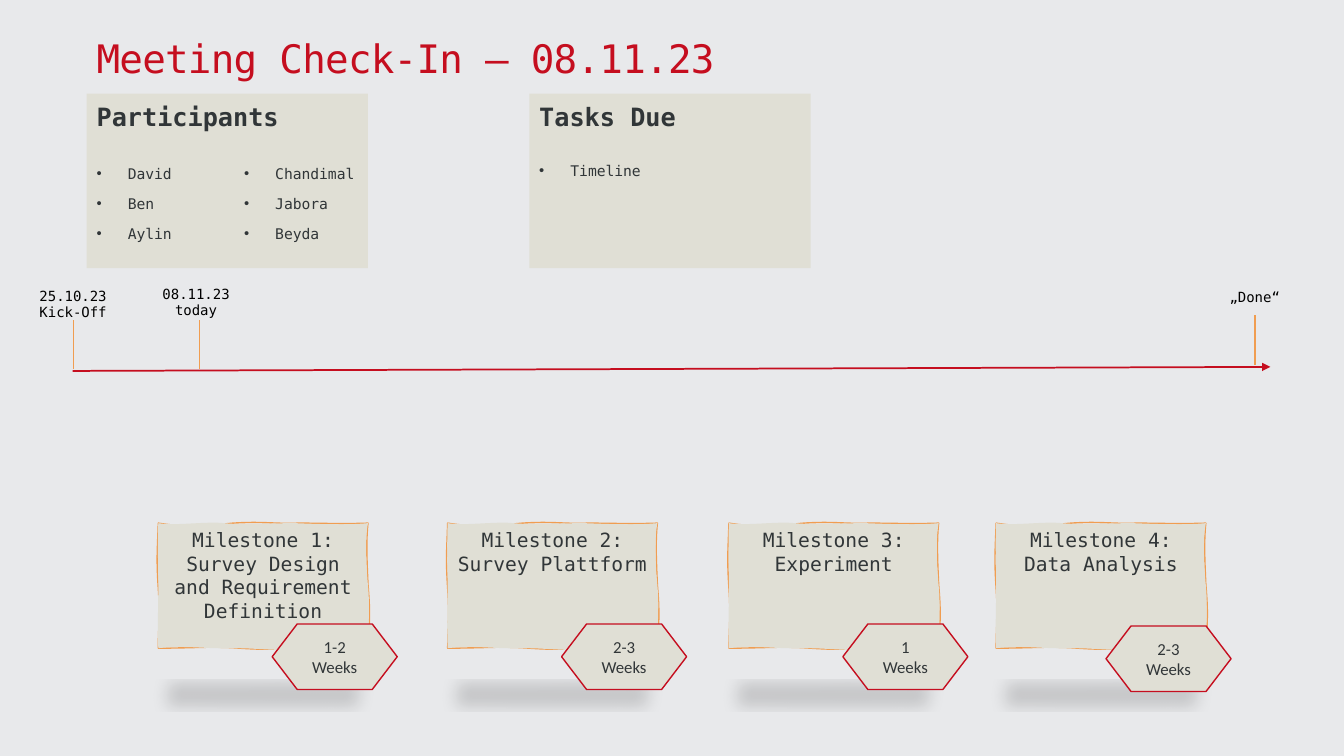
from lxml import etree
from pptx import Presentation
from pptx.dml.color import RGBColor
from pptx.enum.shapes import MSO_CONNECTOR, MSO_SHAPE
from pptx.enum.text import MSO_ANCHOR, PP_ALIGN
from pptx.oxml.ns import qn
from pptx.util import Inches, Pt

STRAIGHT = MSO_CONNECTOR.STRAIGHT
RECT = MSO_SHAPE.RECTANGLE
HEXAGON = MSO_SHAPE.FLOWCHART_PREPARATION
LEFT, CENTER = PP_ALIGN.LEFT, PP_ALIGN.CENTER
TOP, MIDDLE = MSO_ANCHOR.TOP, MSO_ANCHOR.MIDDLE
MONO, SANS = "DejaVu Sans Mono", "Calibri"
WIDE, HIGH = 13.33, 7.5
COLORS = {"back": "E8E9EB", "card": "E0DFD5", "ink": "313638",
          "red": "C50E1F", "orange": "F09D51", "black": "000000"}

# Hand-drawn note: cubic curves from the top left corner, in inches
NOTE_W, NOTE_H = 2.08, 1.24
EDGE = [
    ((0.24, 0.04), (0.43, 0.03), (0.74, 0)),
    ((1.04, -0.02), (1.16, 0.01), (1.39, 0)),
    ((1.62, 0), (1.81, 0.01), (2.08, 0)),
    ((2.06, 0.18), (2.07, 0.38), (2.08, 0.61)),
    ((2.1, 0.85), (2.1, 0.93), (2.08, 1.24)),
    ((1.78, 1.25), (1.65, 1.23), (1.43, 1.24)),
    ((1.21, 1.25), (1.08, 1.26), (0.8, 1.24)),
    ((0.52, 1.22), (0.37, 1.24), (0, 1.24)),
    ((0, 1.02), (0.02, 0.95), (0, 0.65)),
    ((-0.02, 0.35), (-0.01, 0.29), (0, 0)),
]
BODY = [
    ((0.16, 0.03), (0.48, -0.02), (0.65, 0)),
    ((0.83, 0.02), (1.1, 0), (1.35, 0)),
    ((1.6, 0.01), (1.89, 0.02), (2.08, 0)),
    ((2.05, 0.14), (2.06, 0.42), (2.08, 0.62)),
    ((2.1, 0.83), (2.08, 0.96), (2.08, 1.24)),
    ((1.88, 1.27), (1.58, 1.21), (1.41, 1.24)),
    ((1.24, 1.28), (1.03, 1.24), (0.74, 1.24)),
    ((0.45, 1.25), (0.3, 1.21), (0, 1.24)),
    ((-0.01, 0.98), (0, 0.88), (0, 0.61)),
    ((0, 0.35), (-0.01, 0.25), (0, 0)),
]


def color(name):
    return RGBColor.from_string(COLORS[name])


def inches(*sizes):
    return [Inches(size) for size in sizes]


def paint(shape, line=None):
    shape.shadow.inherit = False
    shape.fill.solid()
    shape.fill.fore_color.rgb = color("card")
    if line:
        shape.line.color.rgb = color(line)
        shape.line.width = Pt(1)
    else:
        shape.line.fill.background()


def write(shape, lines, size, ink="ink", font=MONO, align=LEFT, anchor=TOP):
    """Fill a shape with one paragraph per line and return the paragraphs."""
    frame = shape.text_frame
    frame.word_wrap = True
    frame.vertical_anchor = anchor
    paras = []
    for i, text in enumerate(lines):
        para = frame.add_paragraph() if i else frame.paragraphs[0]
        para.text = text
        para.alignment = align
        para.font.name, para.font.size = font, Pt(size)
        para.font.color.rgb = color(ink)
        paras.append(para)
    return paras


def add_text(slide, box, lines, size, **style):
    return write(slide.shapes.add_textbox(*inches(*box)), lines, size, **style)


def add_line(slide, start, end, ink):
    line = slide.shapes.add_connector(STRAIGHT, *inches(*start, *end))
    line.line.color.rgb = color(ink)
    line.line.width = Pt(1.25)
    etree.SubElement(line._element.spPr, qn("a:effectLst"))
    return line


def add_title(slide, box, text):
    para, = add_text(slide, box, [text], 28, ink="red")
    para.runs[0]._r.get_or_add_rPr().set("spc", "-50")


def add_list(slide, box, items):
    """Place bulleted items in a text box of two columns."""
    shape = slide.shapes.add_textbox(*inches(*box))
    for para in write(shape, items, 10.5):
        para.line_spacing, para.space_after = 1.07, Pt(8)
        props = para._p.get_or_add_pPr()
        props.set("marL", str(Inches(0.31)))
        props.set("indent", str(-Inches(0.31)))
        etree.SubElement(props, qn("a:buFont")).set("typeface", "Arial")
        etree.SubElement(props, qn("a:buChar")).set("char", "•")
        # Default run properties must close the paragraph properties
        props.append(props.find(qn("a:defRPr")))
    shape.text_frame._txBody.bodyPr.set("numCol", "2")


def add_card(slide, box, head, items, inner):
    """Place a card; inner is the list's offset from the top, width, height."""
    left, top, wide, high = box
    paint(slide.shapes.add_shape(RECT, *inches(*box)))
    para, = add_text(slide, (left, top + 0.01, 2.26, 0.4), [head], 18)
    para.font.bold = True
    para.line_spacing, para.space_before = 1.07, Pt(12)
    drop, width, height = inner
    add_list(slide, (left, top + drop, width, height), items)


def add_axis(slide, box, marks):
    """Draw the time arrow along the box's foot with a tick per mark."""
    left, top, wide, high = box
    foot = top + high
    arrow = add_line(slide, (left, foot), (left + wide, foot - 0.04), "red")
    tail = etree.SubElement(arrow.line._get_or_add_ln(), qn("a:tailEnd"))
    tail.set("type", "triangle")
    for text, shift, base, label, rise, tall in marks:
        x, y = left + shift, foot - base
        add_line(slide, (x, y), (x, y - 0.49), "orange")
        add_text(slide, (left + label, top + rise, 0.93, tall), [text], 10,
                 ink="black", align=CENTER)


def add_path(paths, curves, **flags):
    """Add a closed path of cubic curves that starts at the box's corner."""
    wide, high = inches(NOTE_W, NOTE_H)
    track = etree.SubElement(paths, qn("a:path"), w=str(wide), h=str(high), **flags)
    start = etree.SubElement(track, qn("a:moveTo"))
    etree.SubElement(start, qn("a:pt"), x="0", y="0")
    for curve in curves:
        bend = etree.SubElement(track, qn("a:cubicBezTo"))
        for x, y in curve:
            etree.SubElement(bend, qn("a:pt"), x=str(Inches(x)), y=str(Inches(y)))
    etree.SubElement(track, qn("a:close"))


def cast(shape):
    """Give a shape a flat, soft shadow on the ground below it."""
    effects = shape._element.spPr.find(qn("a:effectLst"))
    shade = etree.SubElement(effects, qn("a:outerShdw"), blurRad="152400",
                             dist="317500", dir="5400000", sx="90000",
                             sy="-19000", rotWithShape="0")
    black = etree.SubElement(shade, qn("a:srgbClr"), val=COLORS["black"])
    etree.SubElement(black, qn("a:alpha"), val="15000")


def add_note(slide, left, top, text):
    right, foot = left + NOTE_W, top + NOTE_H
    pen = slide.shapes.build_freeform(*inches(left, top))
    pen.add_line_segments([inches(right, top), inches(right, foot),
                           inches(left, foot)], close=True)
    note = pen.convert_to_shape()
    paths = note._element.spPr.find(qn("a:custGeom")).find(qn("a:pathLst"))
    paths.remove(paths[0])
    add_path(paths, EDGE, fill="none")
    add_path(paths, BODY, stroke="0")
    paint(note, "orange")
    cast(note)
    write(note, [text], 14, align=CENTER)


def add_badge(slide, left, top, text):
    badge = slide.shapes.add_shape(HEXAGON, *inches(left, top, 1.24, 0.65))
    paint(badge, "red")
    write(badge, [text], 12, font=SANS, align=CENTER, anchor=MIDDLE)


def add_steps(slide, top, steps):
    for left, text, _, _ in steps:
        add_note(slide, left, top, text)
    for left, _, span, (right, drop) in steps:
        add_badge(slide, left + right, top + drop, span)


def main():
    deck = Presentation()
    deck.slide_width, deck.slide_height = inches(WIDE, HIGH)
    slide = deck.slides.add_slide(deck.slide_layouts[6])
    slide.background.fill.solid()
    slide.background.fill.fore_color.rgb = color("back")

    add_title(slide, (0.86, 0.29, 6.67, 0.57), "Meeting Check-In – 08.11.23")
    add_card(slide, (0.86, 0.93, 2.79, 1.73), "Participants",
             ["David", "Ben", "Aylin", "Chandimal", "Jabora", "Beyda"],
             (0.64, 3.12, 1.02))
    add_card(slide, (5.25, 0.93, 2.79, 1.73), "Tasks Due", ["Timeline"],
             (0.61, 2.27, 0.4))
    add_axis(slide, (0.72, 2.78, 11.88, 0.9), [
        ("25.10.23\nKick-Off", 0.01, 0.02, -0.46, 0.02, 0.44),
        ("08.11.23\ntoday", 1.26, 0.02, 0.76, 0, 0.44),
        ("„Done“", 11.73, 0.06, 11.26, 0.03, 0.27),
    ])
    near, far = (1.13, 1), (1.09, 1.02)
    add_steps(slide, 5.19, [
        (1.57, "Milestone 1:\nSurvey Design and Requirement Definition", "1-2 Weeks", near),
        (4.44, "Milestone 2:\nSurvey Plattform", "2-3 Weeks", near),
        (7.23, "Milestone 3:\nExperiment", "1 Weeks", near),
        (9.88, "Milestone 4:\nData Analysis", "2-3 Weeks", far),
    ])
    deck.save("out.pptx")


if __name__ == "__main__":
    main()
